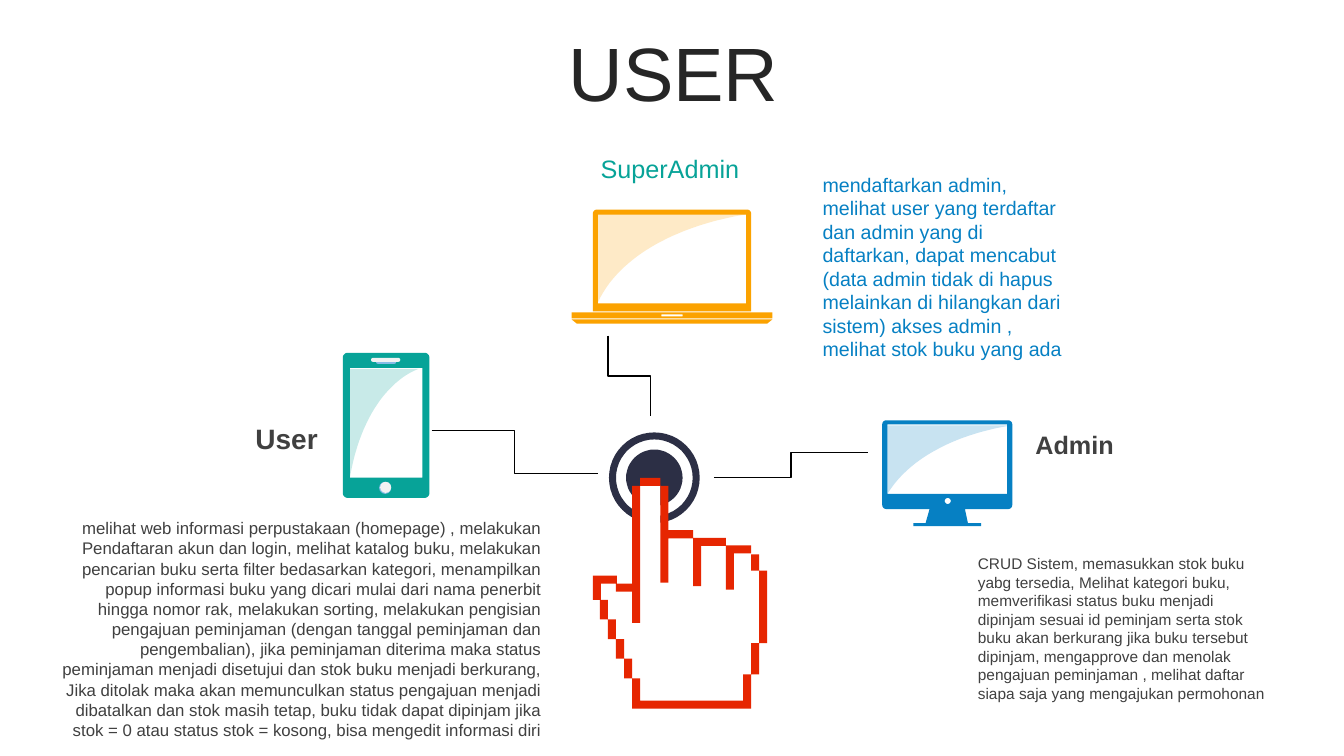
import math
import pptx
import pptx.util
import pptx.dml.color
import pptx.enum.shapes
import pptx.enum.text
import pptx.oxml.ns
from lxml import etree

RGB = pptx.dml.color.RGBColor
NAVY = RGB(0x2C, 0x2F, 0x45)
RED = RGB(0xE6, 0x26, 0x01)
TEAL = RGB(0x07, 0xA3, 0x98)
AMBER = RGB(0xFB, 0xA2, 0x00)
BLUE = RGB(0x06, 0x80, 0xC3)
SKY = RGB(0x87, 0xBC, 0xE6)
PALE = RGB(0xF2, 0xF2, 0xF2)
WHITE = RGB(0xFF, 0xFF, 0xFF)
BLACK = RGB(0, 0, 0)
INK = RGB(0x26, 0x26, 0x26)
GREY = RGB(0x40, 0x40, 0x40)

FONT = "Arial"
WIDE, HIGH = 13.33, 7.5

ALIGN = pptx.enum.text.PP_ALIGN
ANCHOR = pptx.enum.text.MSO_ANCHOR
SHAPE = pptx.enum.shapes.MSO_SHAPE
ELBOW = pptx.enum.shapes.MSO_CONNECTOR.ELBOW
LEFT, MID, RIGHT = ALIGN.LEFT, ALIGN.CENTER, ALIGN.RIGHT
TOP, HALF = ANCHOR.TOP, ANCHOR.MIDDLE
PILL, OVAL = SHAPE.ROUNDED_RECTANGLE, SHAPE.OVAL

USER_TEXT = (
    "melihat web informasi perpustakaan (homepage) , melakukan Pendaftaran akun "
    "dan login, melihat katalog buku, melakukan pencarian buku serta filter "
    "bedasarkan kategori, menampilkan popup informasi buku yang dicari mulai dari "
    "nama penerbit hingga nomor rak, melakukan sorting, melakukan pengisian "
    "pengajuan peminjaman (dengan tanggal peminjaman dan pengembalian), jika "
    "peminjaman diterima maka status peminjaman menjadi disetujui dan stok buku "
    "menjadi berkurang, Jika ditolak maka akan memunculkan status pengajuan "
    "menjadi dibatalkan dan stok masih tetap, buku tidak dapat dipinjam jika "
    "stok = 0 atau status stok = kosong, bisa mengedit informasi diri")
ADMIN_TEXT = (
    "CRUD Sistem, memasukkan stok buku yabg tersedia, Melihat kategori buku, "
    "memverifikasi status buku menjadi dipinjam sesuai id peminjam serta stok buku "
    "akan berkurang jika buku tersebut dipinjam, mengapprove dan menolak pengajuan "
    "peminjaman , melihat daftar siapa saja yang mengajukan permohonan")
SUPER_TEXT = (
    "mendaftarkan admin, melihat user yang terdaftar dan admin yang di daftarkan, "
    "dapat mencabut (data admin tidak di hapus melainkan di hilangkan dari sistem) "
    "akses admin , melihat stok buku yang ada")

TEXTS = [
    ("USER", 0.35, 0.37, 12.66, 0.79, 54, INK, False, MID, HALF),
    (ADMIN_TEXT, 9.6, 5.45, 3.08, 1.58, 11, GREY, False, LEFT, TOP),
    ("Admin", 10.17, 4.21, 3.08, 0.4, 18, GREY, True, LEFT, HALF),
    (USER_TEXT, 0.44, 5.09, 5.03, 2.32, 12, GREY, False, RIGHT, TOP),
    ("User", 1.25, 4.13, 2, 0.44, 20, GREY, True, RIGHT, HALF),
    (SUPER_TEXT, 8.06, 1.65, 2.71, 1.99, 14, BLUE, False, LEFT, HALF),
    ("SuperAdmin", 5.35, 1.47, 2.08, 0.4, 18, TEAL, False, RIGHT, HALF),
]
LINKS = [(4.28, 4.27, 5.93, 4.7, 0),
         (6.64, 3.52, 5.84, 3.94, 270),
         (7.08, 4.74, 8.61, 4.49, 0)]

RINGS = (0.45, 0.38, 0.28)
PIX = 0.08
TIP_X, TIP_Y = 6.27, 4.74
GAP_X, GAP_STEP = 6.55, 0.325
BEND_Y, BEND_STEP = 5.26, 0.075
SIDE = [(7.45, 5.5), (7.53, 5.66), (7.45, 6.38), (7.37, 6.69)]
THUMB_X, THUMB_Y = 5.88, 5.71
HEEL_X, HEEL_Y, HEEL_STEP, HEELS = 5.95, 5.95, 0.195, 5
WRIST = 7.03

deck = pptx.Presentation()
deck.slide_width = pptx.util.Inches(WIDE)
deck.slide_height = pptx.util.Inches(HIGH)
items = deck.slides.add_slide(deck.slide_layouts[6]).shapes


def inch(*vals):
    return [pptx.util.Inches(v) for v in vals]


def walk(x, y, *turns):
    pts = [(x, y)]
    for i, turn in enumerate(turns):
        x, y = (x, turn) if i % 2 else (turn, y)
        pts.append((x, y))
    return pts


def box(l, t, r, b):
    return walk(l, t, r, b, l)


def bar(l, t, end):
    return box(l, t, l + PIX, end)


def arc(x, y, rad, start=0, sweep=360, steps=48):
    turns = [math.radians(start + sweep * i / steps) for i in range(steps + 1)]
    return [(x + rad * math.cos(a), y + rad * math.sin(a)) for a in turns]


def case(l, t, r, b, rad, foot):
    ends = [(l + rad, t + rad, rad, 180), (r - rad, t + rad, rad, 270),
            (r - foot, b - foot, foot, 0), (l + foot, b - foot, foot, 90)]
    return [pt for end in ends for pt in arc(*end, 90, 8)]


def glare(l, t, r, b):
    knots = [(0, 1), (0.16, 0.4), (0.62, 0.09), (1, 0)]
    pts = [(l, t)]
    for i in range(33):
        u = i / 32
        mix = [math.comb(3, n) * u ** n * (1 - u) ** (3 - n) for n in range(4)]
        x, y = (sum(m * k[d] for m, k in zip(mix, knots)) for d in (0, 1))
        pts.append((l + x * (r - l), t + y * (b - t)))
    return pts


def paint(shape, hue, alpha=None):
    shape.shadow.inherit = False
    shape.fill.solid()
    shape.fill.fore_color.rgb = hue
    shape.line.fill.background()
    if alpha:
        node = next(shape._element.spPr.iter(pptx.oxml.ns.qn("a:srgbClr")))
        etree.SubElement(node, pptx.oxml.ns.qn("a:alpha")).set("val", str(alpha * 1000))


def draw(loops, hue, alpha=None):
    grid = [[(round(x * 1000), round(y * 1000)) for x, y in loop] for loop in loops]
    pen = items.build_freeform(*grid[0][0], scale=914.4)
    for i, pts in enumerate(grid):
        if i:
            pen.move_to(*pts[0])
        pen.add_line_segments(pts[1:], close=True)
    paint(pen.convert_to_shape(), hue, alpha)


def stamp(kind, l, t, w, h, hue):
    shape = items.add_shape(kind, *inch(l, t, w, h))
    if kind == PILL:
        shape.adjustments[0] = 0.5
    paint(shape, hue)


def hand():
    half = PIX / 2
    gaps = [GAP_X + GAP_STEP * i for i in range(3)] + [SIDE[0][0]]
    bends = [BEND_Y + BEND_STEP * i for i in range(3)]
    heels = [(HEEL_X + PIX * i, HEEL_Y + HEEL_STEP * i) for i in range(HEELS)]
    drops = [y for x, y in SIDE[1:]] + [WRIST]
    floors = [y for x, y in heels[1:]] + [WRIST]

    turns = [gaps[0]]
    for bend, gap in zip(bends, gaps[1:]):
        turns += [bend + half, gap + half]
    for (x, y), drop in zip(SIDE[1:], drops):
        turns += [y, x + half]
    turns.append(WRIST - half)
    for x, y in reversed(heels):
        turns += [x + half, y]
    turns += [THUMB_X + half, THUMB_Y + half, TIP_X + PIX]
    draw([walk(TIP_X + PIX, TIP_Y + PIX, *turns)], WHITE)

    edge = [box(TIP_X + PIX, TIP_Y, GAP_X, TIP_Y + PIX),
            bar(TIP_X, TIP_Y + PIX, 6.18),
            bar(THUMB_X, THUMB_Y, HEEL_Y),
            box(THUMB_X + PIX, THUMB_Y, 6.12, THUMB_Y + PIX),
            box(6.11, THUMB_Y + PIX, TIP_X, THUMB_Y + 2 * PIX),
            box(heels[-1][0] + PIX, WRIST - PIX, SIDE[-1][0], WRIST)]
    for i, bend in enumerate(bends):
        edge += [bar(gaps[i], bend if i else TIP_Y + PIX, 5.78 + 0.035 * i),
                 box(gaps[i] + PIX, bend, gaps[i + 1], bend + PIX)]
    for (x, y), end in zip(SIDE + heels, drops[:0] + [SIDE[1][1]] + drops[1:] + floors):
        edge.append(bar(x, y, end))
    draw(edge, RED)


def phone():
    draw([case(3.4, 3.5, 4.26, 4.94, 0.05, 0.05), box(3.47, 3.65, 4.19, 4.74)], TEAL)
    stamp(PILL, 3.73, 3.57, 0.2, 0.04, SKY)
    stamp(OVAL, 3.76, 4.78, 0.12, 0.12, SKY)
    draw([glare(3.47, 3.66, 4.15, 4.74)], TEAL, 22)
    stamp(PILL, 3.68, 3.55, 0.29, 0.04, PALE)
    stamp(OVAL, 3.77, 4.78, 0.11, 0.11, PALE)


def laptop():
    lid = [case(5.88, 2.08, 7.45, 3.09, 0.04, 0), box(5.93, 2.13, 7.4, 3.01)]
    deck_bar = [box(5.67, 3.1, 7.66, 3.16), box(6.56, 3.12, 6.77, 3.14)]
    foot = [(5.67, 3.17), (7.66, 3.17), (7.61, 3.21), (5.72, 3.21)]
    draw(lid + deck_bar + [foot], AMBER)
    draw([glare(5.93, 2.12, 7.45, 3)], AMBER, 22)


def screen():
    rim = [case(8.75, 4.17, 10.04, 5.05, 0.04, 0.04), box(8.8, 4.21, 9.99, 4.9)]
    neck = [(9.22, 5.05), (9.57, 5.05), (9.6, 5.19), (9.18, 5.19)]
    draw(rim + [arc(9.4, 4.97, 0.03), neck, box(9.06, 5.19, 9.73, 5.22)], BLUE)
    draw([glare(8.75, 4.22, 10.04, 5)], BLUE, 22)


def link(x, y, to_x, to_y, turn):
    wire = items.add_connector(ELBOW, *inch(x, y, to_x, to_y))
    wire.line.color.rgb = BLACK
    wire.line.width = pptx.util.Pt(1)
    props = wire._element.spPr
    etree.SubElement(props, pptx.oxml.ns.qn("a:effectLst"))
    props.find(pptx.oxml.ns.qn("a:xfrm")).set("rot", str(turn * 60000))


def write(text, l, t, w, h, size, hue, bold, align, anchor):
    body = items.add_textbox(*inch(l, t, w, h)).text_frame
    body.word_wrap = True
    body.vertical_anchor = anchor
    para = body.paragraphs[0]
    para.alignment = align
    para.line_spacing = 0.9 if align == MID else 1.0
    run = para.add_run()
    run.text = text
    run.font.name = FONT
    run.font.size = pptx.util.Pt(size)
    run.font.bold = bold
    run.font.color.rgb = hue


draw([arc(6.49, 4.74, rad) for rad in RINGS], NAVY)
for part in (hand, phone, laptop, screen):
    part()
for wire in LINKS:
    link(*wire)
for note in TEXTS:
    write(*note)

deck.save("out.pptx")
